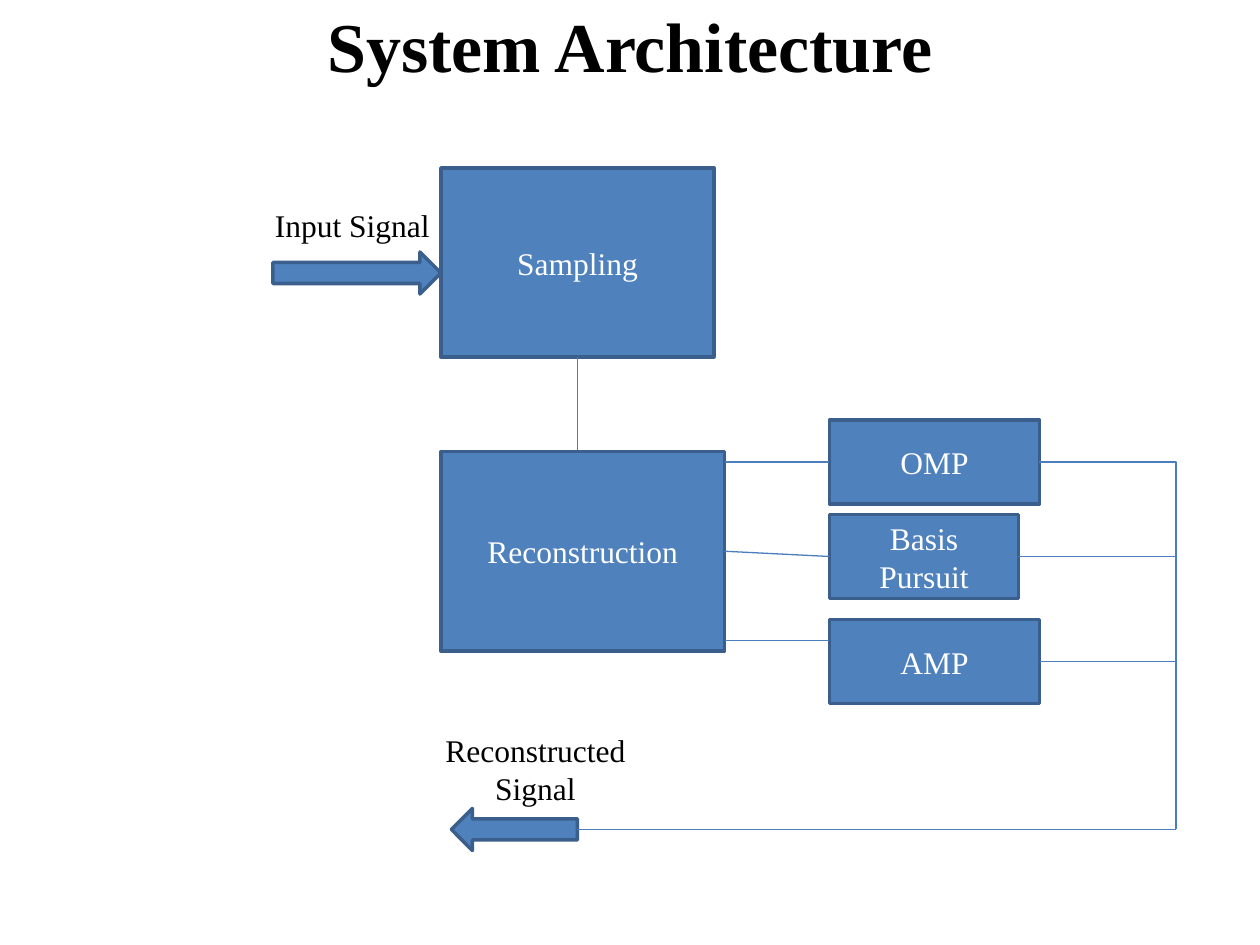
from pptx import Presentation
from pptx.dml.color import RGBColor
from pptx.enum.shapes import MSO_CONNECTOR, MSO_SHAPE
from pptx.enum.text import MSO_ANCHOR, PP_ALIGN
from pptx.oxml.ns import qn
from pptx.util import Pt
from lxml import etree

BOX, LEFT_ARROW, RIGHT_ARROW = MSO_SHAPE.RECTANGLE, MSO_SHAPE.LEFT_ARROW, MSO_SHAPE.RIGHT_ARROW
STRAIGHT, ELBOW = MSO_CONNECTOR.STRAIGHT, MSO_CONNECTOR.ELBOW
LEFT, CENTER = PP_ALIGN.LEFT, PP_ALIGN.CENTER
TOP, MIDDLE = MSO_ANCHOR.TOP, MSO_ANCHOR.MIDDLE

COLORS = {"fill": "4F81BD", "outline": "3A5F8C", "link": "4B7EBC",
          "ink": "000000", "light": "FFFFFF"}


def rgb(name):
    """Return a named colour."""
    return RGBColor.from_string(COLORS[name])


class Diagram:
    """Draws styled elements on one slide; all lengths are in points."""

    font = "Times New Roman"

    def __init__(self, slide):
        self.slide = slide

    def set_text(self, frame, lines, color, size=18, bold=False, align=CENTER, anchor=MIDDLE):
        """Fill a text frame with one paragraph per line."""
        frame.word_wrap = True
        frame.vertical_anchor = anchor
        for index, line in enumerate(lines):
            paragraph = frame.add_paragraph() if index else frame.paragraphs[0]
            paragraph.alignment = align
            run = paragraph.add_run()
            run.text = line
            run.font.name = self.font
            run.font.size = Pt(size)
            run.font.bold = bold
            run.font.color.rgb = rgb(color)

    def label(self, bounds, *lines, **style):
        """Add free text."""
        box = self.slide.shapes.add_textbox(*map(Pt, bounds))
        self.set_text(box.text_frame, lines, "ink", **style)

    def block(self, bounds, *lines, kind=BOX):
        """Add a filled, outlined shape with optional text."""
        shape = self.slide.shapes.add_shape(kind, *map(Pt, bounds))
        shape.shadow.inherit = False
        shape.fill.solid()
        shape.fill.fore_color.rgb = rgb("fill")
        shape.line.color.rgb = rgb("outline")
        shape.line.width = Pt(2)
        self.set_text(shape.text_frame, lines, "light")

    def link(self, start, end, kind=STRAIGHT):
        """Join two points with a thin line; an elbow has one corner."""
        line = self.slide.shapes.add_connector(kind, *map(Pt, start + end))
        line.line.color.rgb = rgb("link")
        line.line.width = Pt(0.75)
        properties = line._element.spPr
        if kind == ELBOW:
            properties.find(qn("a:prstGeom")).set("prst", "bentConnector2")
        etree.SubElement(properties, qn("a:effectLst"))


def build():
    """Build the system architecture slide."""
    deck = Presentation()
    deck.slide_width, deck.slide_height = Pt(720), Pt(540)
    diagram = Diagram(deck.slides.add_slide(deck.slide_layouts[6]))

    diagram.label((36, 0, 648, 50.4), "System Architecture", size=40, bold=True)

    stage_left, axis = 252, 330
    diagram.block((stage_left, 96, 156, 108), "Sampling")
    diagram.link((axis, 204), (axis, 258))
    diagram.block((stage_left, 258, 162, 114), "Reconstruction")

    diagram.label((150, 114, 108, 29), "Input Signal", align=LEFT, anchor=TOP)
    diagram.block((156, 144, 96, 24), kind=RIGHT_ARROW)
    diagram.label((246, 414, 120, 51), "Reconstructed", "Signal", anchor=TOP)
    diagram.block((258, 462, 72, 24), kind=LEFT_ARROW)

    method_left, method_height = 474, 48
    stage_right, bus, output = 414, 672, 474
    methods = [("OMP", 240, 120, 264, 264),
               ("Basis Pursuit", 294, 108, 315, 318),
               ("AMP", 354, 120, 366, 366)]
    for name, top, width, link_start, link_end in methods:
        diagram.block((method_left, top, width, method_height), name)
        diagram.link((stage_right, link_start), (method_left, link_end))
        exit_point = (method_left + width, top + method_height / 2)
        if name == "OMP":
            diagram.link(exit_point, (bus, output), ELBOW)
        else:
            diagram.link(exit_point, (bus, exit_point[1]))
    diagram.link((axis, output), (bus, output))

    deck.save("out.pptx")


build()
